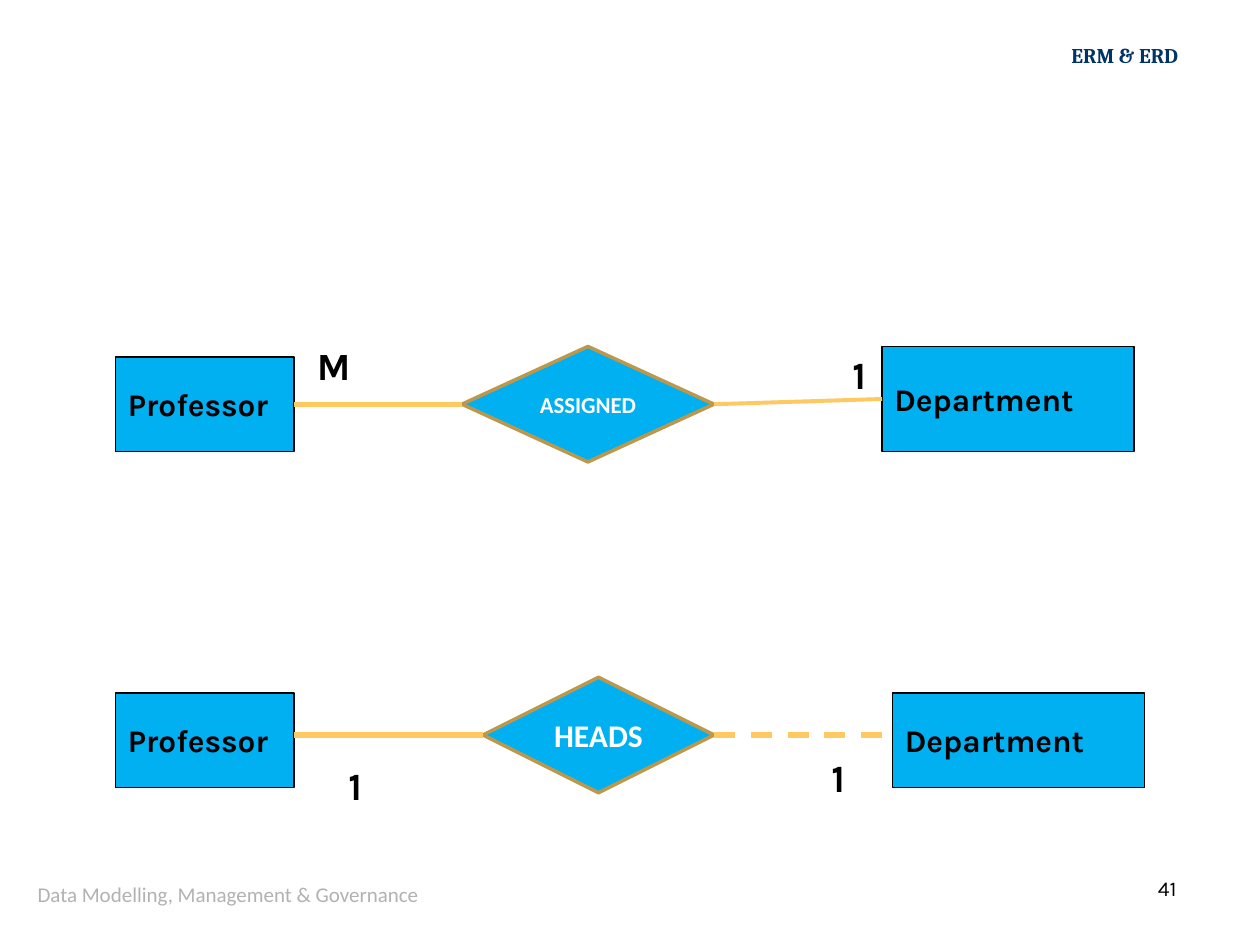
"""Builds a slide with two entity-relationship diagrams."""
from typing import NamedTuple

from lxml import etree
from pptx import Presentation
from pptx.dml.color import RGBColor
from pptx.enum.dml import MSO_LINE
from pptx.enum.shapes import MSO_CONNECTOR, MSO_SHAPE
from pptx.enum.text import MSO_ANCHOR, PP_ALIGN
from pptx.oxml.ns import qn
from pptx.util import Inches, Pt

RECT, DIAMOND = MSO_SHAPE.RECTANGLE, MSO_SHAPE.FLOWCHART_DECISION
STRAIGHT, DASH = MSO_CONNECTOR.STRAIGHT, MSO_LINE.DASH
TOP, MIDDLE = MSO_ANCHOR.TOP, MSO_ANCHOR.MIDDLE
LEFT, CENTER, RIGHT = PP_ALIGN.LEFT, PP_ALIGN.CENTER, PP_ALIGN.RIGHT
BLUE = RGBColor(0x00, 0xB0, 0xF0)
GOLD = RGBColor(0xFD, 0xC9, 0x60)
BRONZE = RGBColor(0xBD, 0x97, 0x4B)
NAVY = RGBColor(0x00, 0x33, 0x66)
GREY = RGBColor(0xB2, 0xB2, 0xB2)
BLACK = RGBColor(0, 0, 0)
WHITE = RGBColor(255, 255, 255)
COLS, ROWS = 120, 90
WIDE, HIGH = Inches(10), Inches(7.5)


class Area(NamedTuple):
    """Place and size in grid columns and rows."""
    col: float
    row: float
    cols: float
    rows: float


class Style(NamedTuple):
    """Look of a text."""
    font: str
    size: float
    color: RGBColor
    bold: bool = True
    align: PP_ALIGN = LEFT
    anchor: MSO_ANCHOR = TOP
    wrap: bool = True


class Node(NamedTuple):
    """Entity or relationship of a diagram."""
    text: str
    area: Area
    size: float = 18


class Label(NamedTuple):
    """Text without an outline."""
    text: str
    area: Area
    style: Style


class Link(NamedTuple):
    """Line between two nodes, glued where it meets a side's middle."""
    start: int
    end: int
    row: float
    width: float = 3
    glue: tuple[bool, bool] = (True, True)
    dash: bool = False


COUNT = Style("Karla", 22, BLACK)
NODES = [
    Node("Professor", Area(11, 34, 17, 9)),
    Node("ASSIGNED", Area(44, 33, 24, 11), 13),
    Node("Department", Area(84, 33, 24, 10)),
    Node("Professor", Area(11, 66, 17, 9)),
    Node("HEADS", Area(46, 64.5, 22, 11)),
    Node("Department", Area(85, 66, 24, 9)),
]
LINKS = [
    Link(0, 1, 38.5),
    Link(1, 2, 38.5, 2.25),
    Link(3, 4, 70, glue=(False, True)),
    Link(4, 5, 70, glue=(True, False), dash=True),
]
LABELS = [
    Label("ERM & ERD", Area(100.4, 3.5, 13, 3.6),
          Style("Cambria", 12, NAVY, align=RIGHT, wrap=False)),
    Label("41", Area(109.1, 82.8, 7.6, 3.6), Style("Karla", 12, BLACK, False)),
    Label("Data Modelling, Management & Governance", Area(2.4, 82.8, 53, 4.8),
          Style("Calibri", 12, GREY, False, anchor=MIDDLE)),
    Label("M", Area(29, 32, 6, 4.8), COUNT),
    Label("1", Area(80, 32.8, 4, 4.8), COUNT),
    Label("1", Area(32, 72, 4, 4.8), COUNT),
    Label("1", Area(78, 71.2, 6, 4.8), COUNT),
]


def across(cols: float) -> int:
    """Turn columns into a length."""
    return round(WIDE * cols / COLS)


def down(rows: float) -> int:
    """Turn rows into a length."""
    return round(HIGH * rows / ROWS)


def place(area: Area) -> tuple[int, int, int, int]:
    """Turn an area into left, top, width and height."""
    return across(area.col), down(area.row), across(area.cols), down(area.rows)


def write(shape, text: str, style: Style) -> None:
    """Put styled text in a shape."""
    frame = shape.text_frame
    frame.text = text
    frame.word_wrap = style.wrap
    frame.vertical_anchor = style.anchor
    line = frame.paragraphs[0]
    line.alignment = style.align
    font = line.runs[0].font
    font.name, font.size, font.bold = style.font, Pt(style.size), style.bold
    font.color.rgb = style.color


def add_node(slide, node: Node):
    """Draw an entity as a box or a relationship as a diamond."""
    verb = node.text.isupper()
    shape = slide.shapes.add_shape(DIAMOND if verb else RECT, *place(node.area))
    shape.shadow.inherit = False
    shape.fill.solid()
    shape.fill.fore_color.rgb = BLUE
    shape.line.color.rgb = BRONZE if verb else BLACK
    shape.line.width = Pt(2 if verb else 0.75)
    if verb:
        style = Style("Calibri", node.size, WHITE, align=CENTER, anchor=MIDDLE)
    else:
        style = Style("Karla", node.size, BLACK, anchor=MIDDLE)
    write(shape, node.text, style)
    return shape


def add_link(slide, link: Link, shapes: list) -> None:
    """Draw a line from one node's right side to the next one's left."""
    first, last = shapes[link.start], shapes[link.end]
    line = slide.shapes.add_connector(
        STRAIGHT, first.left + first.width, down(link.row), last.left, down(link.row))
    if link.glue[0]:
        line.begin_connect(first, 3)
    if link.glue[1]:
        line.end_connect(last, 1)
    line.line.color.rgb = GOLD
    line.line.width = Pt(link.width)
    if link.dash:
        line.line.dash_style = DASH
    etree.SubElement(line._element.spPr, qn("a:effectLst"))


def main() -> None:
    """Build and save the slide."""
    deck = Presentation()
    deck.slide_width, deck.slide_height = WIDE, HIGH
    slide = deck.slides.add_slide(deck.slide_layouts[6])
    shapes = [add_node(slide, node) for node in NODES]
    for link in LINKS:
        add_link(slide, link, shapes)
    for label in LABELS:
        write(slide.shapes.add_textbox(*place(label.area)), label.text, label.style)
    deck.save("out.pptx")


if __name__ == "__main__":
    main()
